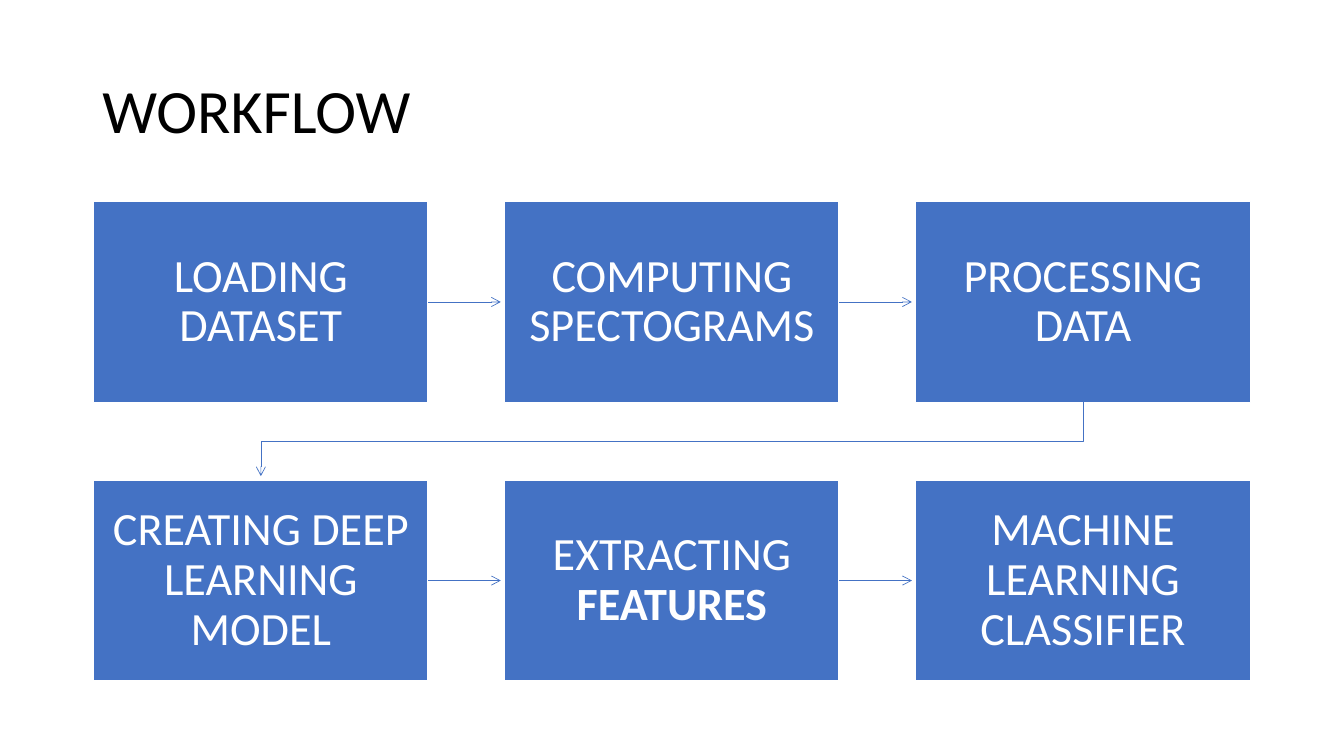
from lxml import etree
from pptx import Presentation
from pptx.dml.color import RGBColor
from pptx.enum.shapes import MSO_CONNECTOR, MSO_SHAPE
from pptx.enum.text import MSO_ANCHOR, PP_ALIGN
from pptx.oxml.ns import qn
from pptx.util import Cm, Pt

RECTANGLE = MSO_SHAPE.RECTANGLE
STRAIGHT = MSO_CONNECTOR.STRAIGHT
MIDDLE = MSO_ANCHOR.MIDDLE
LEFT, CENTER = PP_ALIGN.LEFT, PP_ALIGN.CENTER
RIGHT_SIDE = 3

COLORS = {"step": "4472C4", "light": "FFFFFF", "title": "000000"}
FONT = "Calibri"
COLUMNS = 3
GRID_LEFT, GRID_TOP = Cm(2.36), Cm(5.08)
STEP_WIDTH, STEP_HEIGHT = Cm(8.43), Cm(5.06)
COLUMN_PITCH, ROW_PITCH = Cm(10.36), Cm(7.02)
ARROW_GAP = Cm(0.1)
STEP_FRAME = {"margin_left": Cm(0.41), "margin_right": Cm(0.41),
              "margin_top": Cm(0.43), "margin_bottom": Cm(0.43)}

STEPS = [
    [("LOADING DATASET", False)],
    [("COMPUTING SPECTOGRAMS", False)],
    [("PROCESSING DATA", False)],
    [("CREATING DEEP LEARNING MODEL", False)],
    [("EXTRACTING ", False), ("FEATURES", True)],
    [("MACHINE LEARNING CLASSIFIER", False)],
]


def color(name):
    return RGBColor.from_string(COLORS[name])


def set_attributes(target, values):
    for name, value in values.items():
        setattr(target, name, value)


def write_text(shape, runs, size, color_name, alignment, frame_format):
    frame = shape.text_frame
    set_attributes(frame, {"word_wrap": True, "vertical_anchor": MIDDLE, **frame_format})
    paragraph = frame.paragraphs[0]
    set_attributes(paragraph, {"alignment": alignment, "line_spacing": 0.9})
    for text, bold in runs:
        run = paragraph.add_run()
        run.text = text
        set_attributes(run.font, {"name": FONT, "size": Pt(size), "bold": bold})
        run.font.color.rgb = color(color_name)


def add_title(slide, text):
    shape = slide.shapes.add_textbox(Cm(2.33), Cm(1.01), Cm(29.21), Cm(3.68))
    write_text(shape, [(text, False)], 44, "title", LEFT, {})


def add_step(slide, index, runs):
    row, column = divmod(index, COLUMNS)
    shape = slide.shapes.add_shape(
        RECTANGLE, GRID_LEFT + column * COLUMN_PITCH, GRID_TOP + row * ROW_PITCH,
        STEP_WIDTH, STEP_HEIGHT)
    shape.shadow.inherit = False
    shape.fill.solid()
    shape.fill.fore_color.rgb = color("step")
    shape.line.color.rgb = color("light")
    shape.line.width = Pt(1)
    write_text(shape, runs, 33, "light", CENTER, STEP_FRAME)
    return shape


def style_arrow(line):
    line.color.rgb = color("step")
    line.width = Pt(0.5)
    etree.SubElement(line._get_or_add_ln(), qn("a:tailEnd"), type="arrow")


def add_row_arrow(slide, source, target):
    middle = source.top + source.height // 2
    connector = slide.shapes.add_connector(
        STRAIGHT, source.left + source.width, middle, target.left - ARROW_GAP, middle)
    connector.begin_connect(source, RIGHT_SIDE)
    style_arrow(connector.line)
    etree.SubElement(connector._element.spPr, qn("a:effectLst"))


def add_return_arrow(slide, source, target):
    start_x = source.left + source.width // 2
    end_x = target.left + target.width // 2
    bottom = source.top + source.height
    turn = (bottom + target.top) // 2
    builder = slide.shapes.build_freeform(start_x, bottom)
    builder.add_line_segments(
        [(start_x, turn), (end_x, turn), (end_x, target.top - ARROW_GAP)], close=False)
    shape = builder.convert_to_shape()
    shape.shadow.inherit = False
    shape.fill.background()
    style_arrow(shape.line)


def main():
    presentation = Presentation()
    presentation.slide_width, presentation.slide_height = Cm(33.87), Cm(19.05)
    slide = presentation.slides.add_slide(presentation.slide_layouts[6])
    add_title(slide, "WORKFLOW")
    steps = [add_step(slide, index, runs) for index, runs in enumerate(STEPS)]
    for source, target in zip(steps, steps[1:]):
        same_row = source.top == target.top
        add_arrow = add_row_arrow if same_row else add_return_arrow
        add_arrow(slide, source, target)
    presentation.save("out.pptx")


if __name__ == "__main__":
    main()
